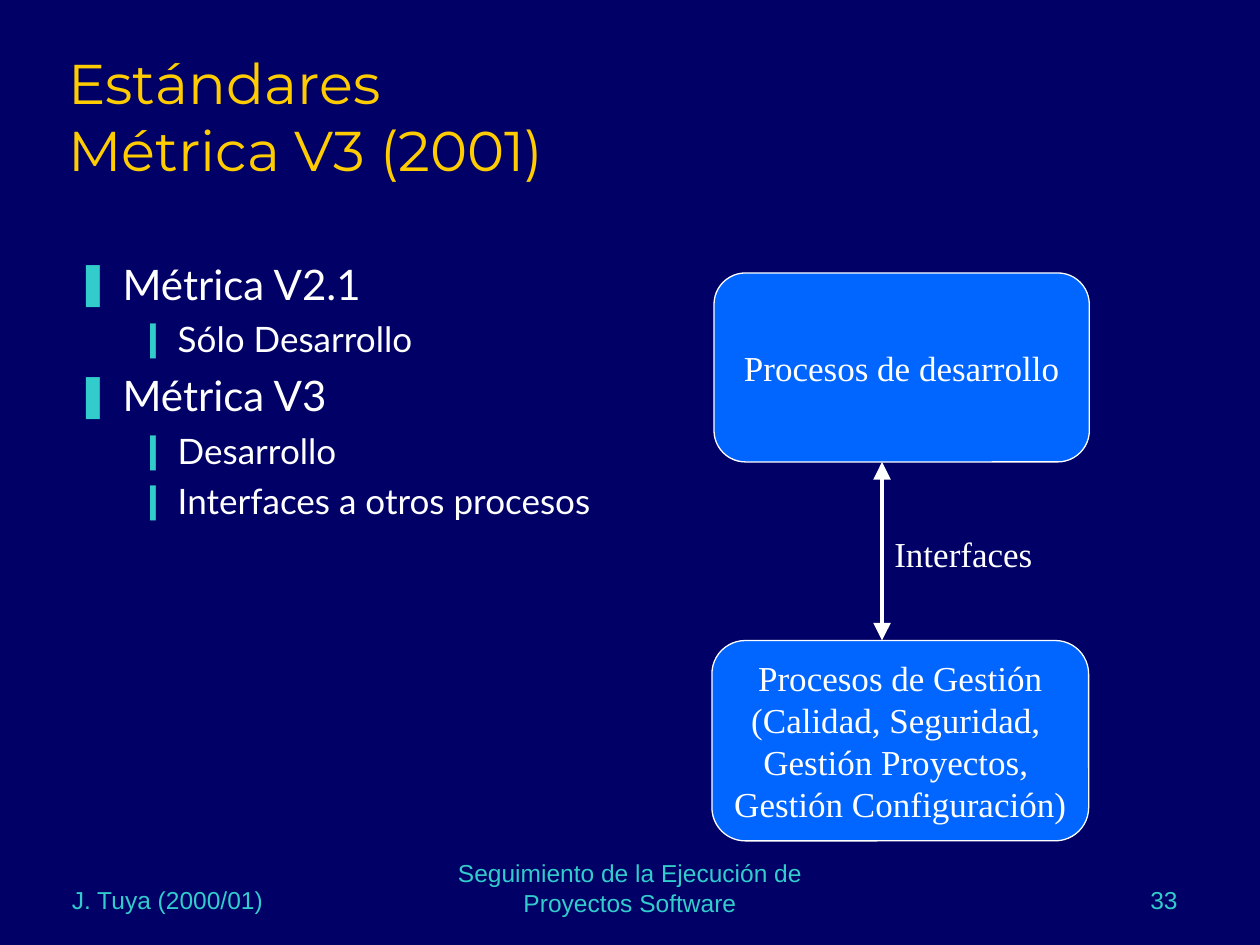
from lxml import etree
from pptx import Presentation
from pptx.dml.color import RGBColor
from pptx.enum.shapes import MSO_CONNECTOR, MSO_SHAPE
from pptx.enum.text import MSO_ANCHOR, MSO_AUTO_SIZE, PP_ALIGN
from pptx.oxml.ns import qn
from pptx.util import Pt

LEFT, MID, RIGHT = PP_ALIGN.LEFT, PP_ALIGN.CENTER, PP_ALIGN.RIGHT
TOP, CORE, LOW = MSO_ANCHOR.TOP, MSO_ANCHOR.MIDDLE, MSO_ANCHOR.BOTTOM
GROW = MSO_AUTO_SIZE.SHAPE_TO_FIT_TEXT
ROUND = MSO_SHAPE.ROUNDED_RECTANGLE
LINE = MSO_CONNECTOR.STRAIGHT

NAVY = RGBColor(0x00, 0x00, 0x66)
BLUE = RGBColor(0x00, 0x66, 0xFF)
GOLD = RGBColor(0xFF, 0xCC, 0x00)
TEAL = RGBColor(0x33, 0xCC, 0xCC)
WHITE = RGBColor(0xFF, 0xFF, 0xFF)

HEAD = {"name": "Montserrat", "size": Pt(32)}
MAIN = {"name": "Lato", "size": Pt(24)}
SUB = {"name": "Lato", "size": Pt(20)}
NODE = {"name": "Times New Roman", "size": Pt(20)}
FOOT = {"name": "Arial", "size": Pt(14)}


def style(para, look, color, align):
    para.alignment = align
    for run in para.runs:
        for key, value in look.items():
            setattr(run.font, key, value)
        run.font.color.rgb = color


def write(shape, lines, look, color, align, anchor, wrap=True):
    frame = shape.text_frame
    frame.word_wrap = wrap
    frame.vertical_anchor = anchor
    for i, line in enumerate(lines):
        para = frame.add_paragraph() if i else frame.paragraphs[0]
        para.text = line
        style(para, look, color, align)


deck = Presentation()
deck.slide_width, deck.slide_height = Pt(720), Pt(540)
slide = deck.slides.add_slide(deck.slide_layouts[6])
slide.background.fill.solid()
slide.background.fill.fore_color.rgb = NAVY
shapes = slide.shapes

title = shapes.add_textbox(Pt(32), Pt(18), Pt(652), Pt(90))
write(title, ["Estándares\vMétrica V3 (2001)"], HEAD, GOLD, LEFT, LOW)

nodes = [
    (408, 156, 214.5, 108, ["Procesos de desarrollo"]),
    (406.8, 366, 215.28, 114.48, [
        "Procesos de Gestión",
        "(Calidad, Seguridad, ",
        "Gestión Proyectos, ",
        "Gestión Configuración)",
    ]),
]
for x, y, wide, high, lines in nodes:
    node = shapes.add_shape(ROUND, Pt(x), Pt(y), Pt(wide), Pt(high))
    node.shadow.inherit = False
    node.fill.solid()
    node.fill.fore_color.rgb = BLUE
    node.line.color.rgb = WHITE
    node.line.width = Pt(0.75)
    write(node, lines, NODE, WHITE, MID, CORE, False)

link = shapes.add_connector(LINE, Pt(504), Pt(264), Pt(504), Pt(366))
link.line.color.rgb = WHITE
link.line.width = Pt(2)
stroke = link.line._get_or_add_ln()
for end in ("a:headEnd", "a:tailEnd"):
    etree.SubElement(stroke, qn(end), type="triangle", w="lg", len="lg")
etree.SubElement(link._element.spPr, qn("a:effectLst"))

label = shapes.add_textbox(Pt(503), Pt(300.24), Pt(95), Pt(31.68))
write(label, ["Interfaces"], NODE, WHITE, MID, CORE, False)
label.text_frame.auto_size = GROW

levels = [
    (MAIN, "❚", 27, 27, 6),
    (SUB, "❙", 58.5, 22.5, 5),
]
items = [
    (0, "Métrica V2.1"),
    (1, "Sólo Desarrollo"),
    (0, "Métrica V3"),
    (1, "Desarrollo"),
    (1, "Interfaces a otros procesos"),
]
body = shapes.add_textbox(Pt(36), Pt(144), Pt(316), Pt(348))
write(body, [text for _, text in items], MAIN, WHITE, LEFT, TOP)
for i, (para, (level, _)) in enumerate(zip(body.text_frame.paragraphs, items)):
    look, mark, left, hang, gap = levels[level]
    props = para._p.get_or_add_pPr()
    props.set("marL", str(Pt(left)))
    props.set("indent", str(-Pt(hang)))
    tint = etree.SubElement(props, qn("a:buClr"))
    etree.SubElement(tint, qn("a:srgbClr"), val=str(TEAL))
    etree.SubElement(props, qn("a:buFont"), typeface="Arial")
    etree.SubElement(props, qn("a:buChar"), char=mark)
    para.level = level
    para.space_before = Pt(gap if i else 0)
    style(para, look, WHITE, LEFT)

feet = [
    (246, 491.76, 228, MID, "Seguimiento de la Ejecución de Proyectos Software"),
    (530, 490.32, 150, RIGHT, "33"),
    (34, 490.32, 150, LEFT, "J. Tuya (2000/01)"),
]
for x, y, wide, align, text in feet:
    foot = shapes.add_textbox(Pt(x), Pt(y), Pt(wide), Pt(36))
    write(foot, [text], FOOT, TEAL, align, LOW)

deck.save("out.pptx")
